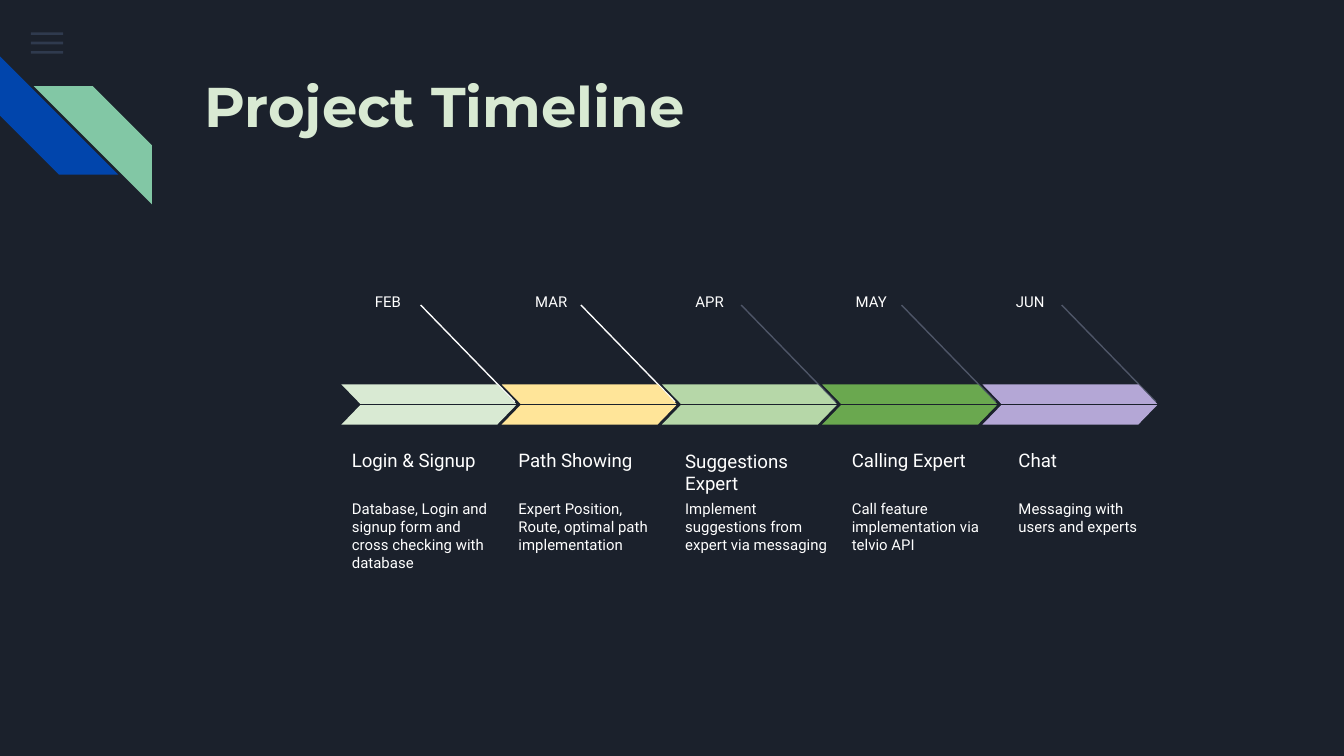
from lxml import etree
from pptx import Presentation
from pptx import util as u
from pptx.dml.color import RGBColor
from pptx.enum import shapes, text
from pptx.oxml import ns

COLORS = {
    "night": "1B212C", "white": "FFFFFF", "slate": "4E5567", "menu": "55688B",
    "blue": "0145AC", "mint": "82C7A5", "pale": "D9EAD3", "yellow": "FFE599",
    "sage": "B6D7A8", "green": "6AA84F", "violet": "B4A7D6",
}
TITLE = "Project Timeline"
STAGES = [
    ("FEB", "Login & Signup",
     "Database, Login and signup form and cross checking with database", "pale", "white"),
    ("MAR", "Path Showing",
     "Expert Position, Route, optimal path implementation", "yellow", "white"),
    ("APR", "Suggestions Expert",
     "Implement\vsuggestions from expert via messaging", "sage", "slate"),
    ("MAY", "Calling Expert",
     "Call feature implementation via telvio API", "green", "slate"),
    ("JUN", "Chat", "Messaging with users and experts", "violet", "slate"),
]
TWO_LINE_HEADING = "Suggestions Expert"
SLIDE_WIDTH = 10
SLIDE_HEIGHT = SLIDE_WIDTH * 9 / 16
ARROW_LEFT, ARROW_PITCH, ARROW_WIDTH = 2.54, 4.77 / 4, 1.3
ARROW_TOP, ARROW_HEIGHT, ARROW_GAP = 2.86, 0.3, 0.01
HALF_HEIGHT = (ARROW_HEIGHT - ARROW_GAP) / 2
TEXT_LEFT, TEXT_PITCH = 2.52, 1.24


def color(name):
    return RGBColor.from_string(COLORS[name])


def add_block(page, preset, place, fill, adjust=None, flip=False, alpha=None):
    block = page.shapes.add_shape(preset, *map(u.Inches, place))
    block.shadow.inherit = False
    block.fill.solid()
    block.fill.fore_color.rgb = color(fill)
    block.line.fill.background()
    if adjust is not None:
        block.adjustments[0] = adjust
    if flip:
        block._element.spPr.get_or_add_xfrm().set("flipH", "1")
    if alpha is not None:
        tint = block._element.spPr.find(".//" + ns.qn("a:srgbClr"))
        etree.SubElement(tint, ns.qn("a:alpha")).set("val", str(alpha * 1000))
    return block


def write(box, words, size, font, ink, bold=False, anchor=text.MSO_ANCHOR.TOP, after=0):
    frame = box.text_frame
    frame.word_wrap = True
    frame.auto_size = text.MSO_AUTO_SIZE.NONE
    frame.vertical_anchor = anchor
    frame.margin_left = frame.margin_right = u.Inches(0.1)
    frame.margin_top = frame.margin_bottom = u.Inches(0.1)
    para = frame.paragraphs[0]
    para.alignment = text.PP_ALIGN.LEFT
    para.space_after = u.Pt(after)
    for index, line in enumerate(words.split("\v")):
        if index:
            para.add_line_break()
        span = para.add_run()
        span.text = line
        span.font.size = u.Pt(size)
        span.font.name = font
        span.font.bold = bold
        span.font.color.rgb = color(ink)


def add_text(page, place, words, size, **style):
    box = page.shapes.add_textbox(*map(u.Inches, place))
    write(box, words, size, "Roboto", "white", **style)


def add_pointer(page, left, ink):
    ends = (left, 2.27, left + 0.7, 2.99)
    pointer = page.shapes.add_connector(
        shapes.MSO_CONNECTOR.STRAIGHT, *map(u.Inches, ends))
    pointer.line.color.rgb = color(ink)
    pointer.line.width = u.Pt(0.75)
    etree.SubElement(pointer._element.spPr, ns.qn("a:effectLst"))


def add_decoration(page):
    kinds = shapes.MSO_SHAPE
    for row in range(3):
        add_block(page, kinds.RECTANGLE, (0.23, 0.24 + 0.07 * row, 0.24, 0.02),
                  "menu", alpha=36)
    stripe = add_block(page, kinds.DIAGONAL_STRIPE, (0, 0.42, 0.88, 0.88), "blue", 0.5)
    stripe.rotation = 270
    add_block(page, kinds.DIAGONAL_STRIPE, (0.25, 0.64, 0.88, 0.88), "mint", 0.5, flip=True)


def add_stage(page, index, month, heading, detail, fill, ink):
    arrow_left = ARROW_LEFT + index * ARROW_PITCH
    text_left = TEXT_LEFT + index * TEXT_PITCH
    two_lines = heading == TWO_LINE_HEADING
    top, width, height = (3.05, 1.12, 0.73) if two_lines else (3.17, 1.24, 0.44)
    add_text(page, (arrow_left + 0.15, 2.08, 0.59, 0.23), month, 8)
    add_text(page, (text_left, top, width, height), heading, 10,
             anchor=text.MSO_ANCHOR.BOTTOM)
    add_text(page, (text_left, 3.62, 1.37 if two_lines else 1.24, 0.73), detail, 8, after=16)
    add_pointer(page, arrow_left + 0.59, ink)
    for half, flip in enumerate((True, False)):
        half_top = ARROW_TOP + half * (HALF_HEIGHT + ARROW_GAP)
        add_block(page, shapes.MSO_SHAPE.PARALLELOGRAM,
                  (arrow_left, half_top, ARROW_WIDTH, HALF_HEIGHT), fill, 0.97, flip)


def main():
    deck = Presentation()
    deck.slide_width, deck.slide_height = u.Inches(SLIDE_WIDTH), u.Inches(SLIDE_HEIGHT)
    page = deck.slides.add_slide(deck.slide_layouts[5])
    page.background.fill.solid()
    page.background.fill.fore_color.rgb = color("night")
    add_decoration(page)
    title = page.shapes.title
    title.left, title.top, title.width, title.height = map(u.Inches, (1.42, 0.43, 7.7, 1))
    write(title, TITLE, 30, "Montserrat", "pale", bold=True)
    for index, stage in enumerate(STAGES):
        add_stage(page, index, *stage)
    deck.save("out.pptx")


if __name__ == "__main__":
    main()
